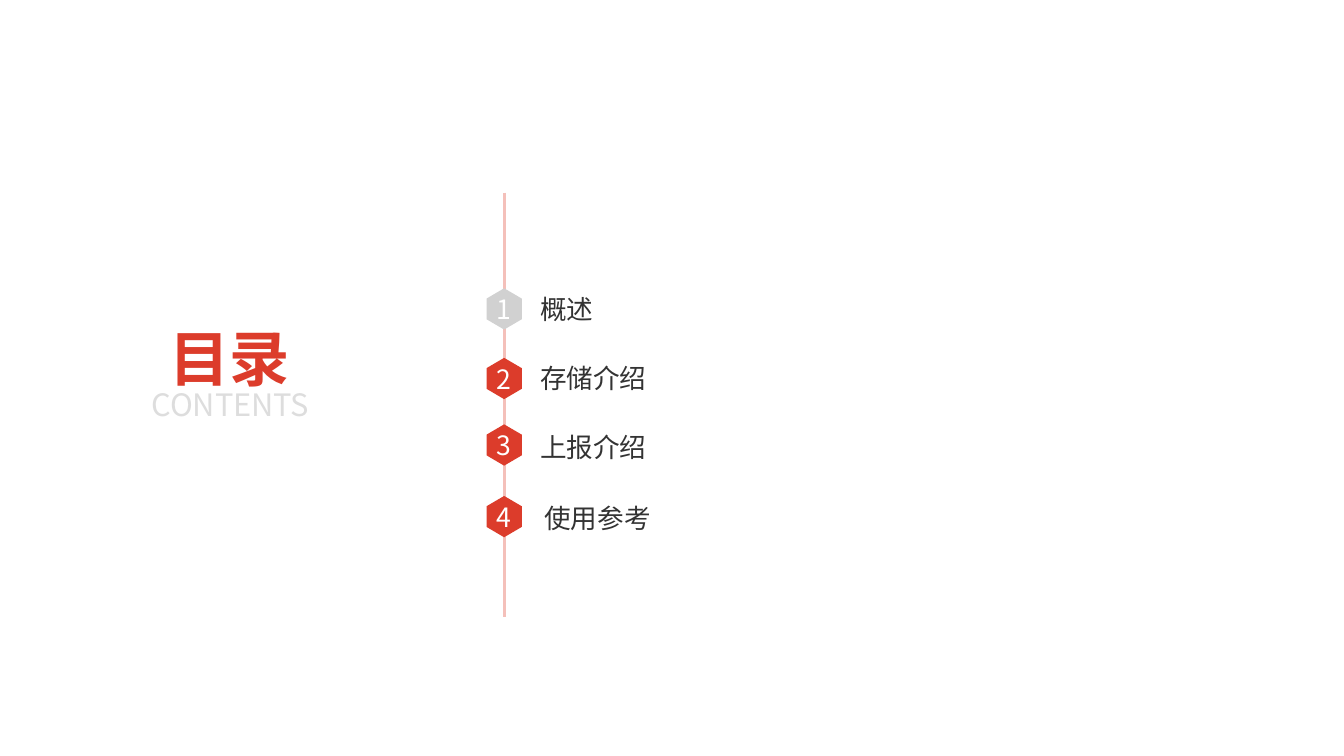
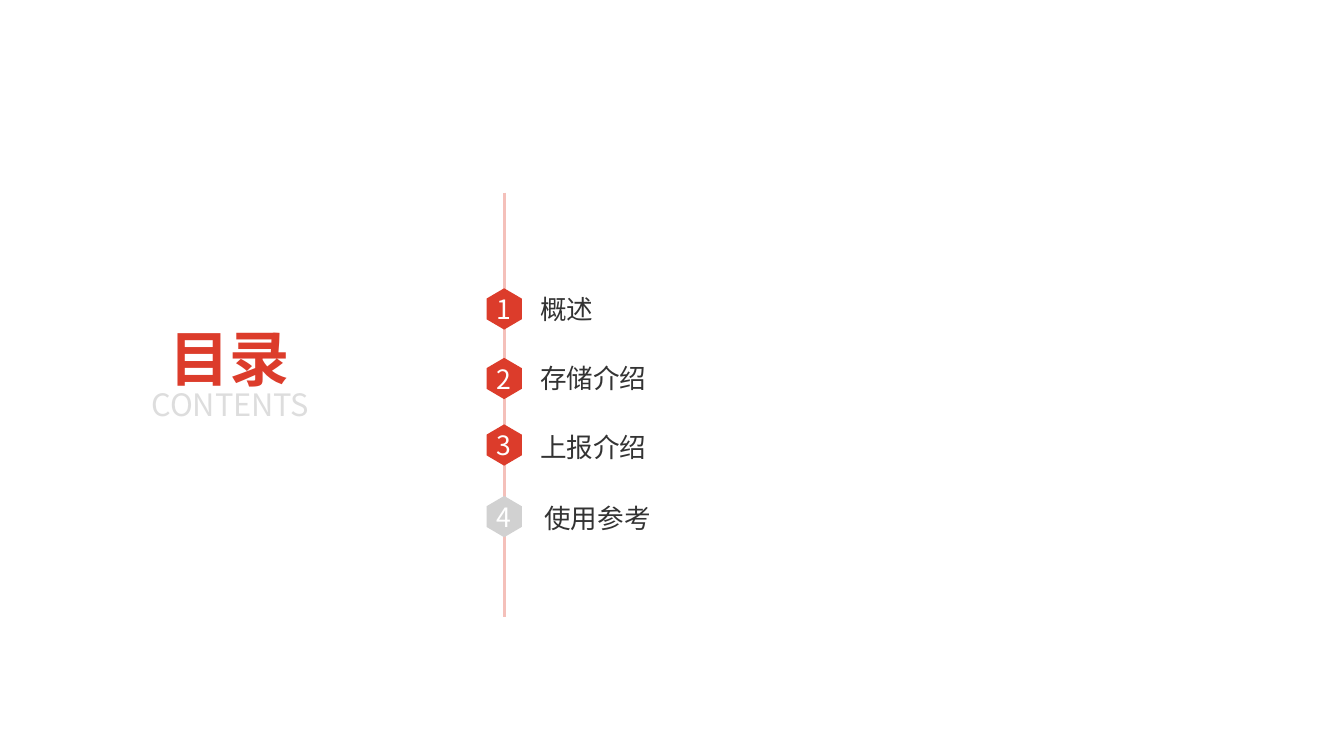
from dataclasses import dataclass
from lxml.etree import SubElement
from pptx import Presentation
from pptx.dml.color import RGBColor
from pptx.enum.shapes import MSO_CONNECTOR
from pptx.enum.text import MSO_ANCHOR, MSO_AUTO_SIZE, PP_ALIGN
from pptx.oxml.ns import qn
from pptx.util import Inches, Pt


# Colours and type sizes
@dataclass(frozen=True)
class Theme:
    font: str = "Noto Sans CJK SC"
    red: str = "DC3C2B"
    pink: str = "F4C0BA"
    grey: str = "D1D1D1"
    pale: str = "DDDDDD"
    dark: str = "333333"
    white: str = "FFFFFF"
    title: int = 43
    sub: int = 22
    body: int = 19
    inset: float = 0.05


# Agenda: label, hexagon top, label left, label top
ITEMS = [
    ("概述", 2.86, 5.31, 2.83),
    ("存储介绍", 3.55, 5.31, 3.52),
    ("上报介绍", 4.21, 5.31, 4.2),
    ("使用参考", 4.92, 5.35, 4.91),
]
AXIS = 5.0
HEX_W, HEX_H = 0.35, 0.41


class Deck:
    def __init__(self, theme):
        self.theme = theme
        self.prs = Presentation()
        self.prs.slide_width = Inches(13.33)
        self.prs.slide_height = Inches(7.5)
        self.slide = None

    def page(self):
        self.slide = self.prs.slides.add_slide(self.prs.slide_layouts[6])

    # Fill a text frame with one run
    def label(self, frame, words, size, color, align, inset, bold=False):
        frame.margin_left = frame.margin_right = Inches(inset)
        frame.margin_top = frame.margin_bottom = Inches(inset)
        frame.vertical_anchor = MSO_ANCHOR.MIDDLE
        para = frame.paragraphs[0]
        para.alignment = align
        run = para.add_run()
        run.text = words
        font = run.font
        font.size, font.bold = Pt(size), bold
        font.color.rgb = RGBColor.from_string(color)
        font.name = self.theme.font
        # East Asian glyphs need their own typeface entry
        SubElement(run._r.get_or_add_rPr(), qn("a:ea"), typeface=self.theme.font)

    def text(self, words, x, y, w, h, size, color, align=PP_ALIGN.LEFT, bold=False):
        box = self.slide.shapes.add_textbox(Inches(x), Inches(y), Inches(w), Inches(h))
        frame = box.text_frame
        frame.word_wrap = True
        frame.auto_size = MSO_AUTO_SIZE.SHAPE_TO_FIT_TEXT
        self.label(frame, words, size, color, align, self.theme.inset, bold)

    def line(self, x, top, end, color, width):
        line = self.slide.shapes.add_connector(
            MSO_CONNECTOR.STRAIGHT, Inches(x), Inches(top), Inches(x), Inches(end))
        line.line.color.rgb = RGBColor.from_string(color)
        line.line.width = Pt(width)
        SubElement(line._element.spPr, qn("a:effectLst"))

    # Upright hexagon with a number in it
    def badge(self, num, mid, top, color):
        left, right = mid - HEX_W / 2, mid + HEX_W / 2
        high, low = top + HEX_H / 4, top + HEX_H * 3 / 4
        dots = [(right, high), (right, low), (mid, top + HEX_H), (left, low), (left, high)]
        pen = self.slide.shapes.build_freeform(Inches(mid), Inches(top))
        pen.add_line_segments([(Inches(x), Inches(y)) for x, y in dots], close=True)
        shape = pen.convert_to_shape()
        shape.shadow.inherit = False
        shape.fill.solid()
        shape.fill.fore_color.rgb = RGBColor.from_string(color)
        shape.line.fill.background()
        self.label(shape.text_frame, str(num), self.theme.body, self.theme.white,
                   PP_ALIGN.CENTER, 0)

    # Contents page with one greyed badge
    def agenda(self, muted):
        look = self.theme
        self.page()
        self.line(AXIS, 1.91, 6.12, look.pink, 2)
        self.text("目录", 1.62, 3.07, 1.31, 0.95, look.title, look.red,
                  PP_ALIGN.CENTER, bold=True)
        self.text("CONTENTS", 1.25, 3.78, 2.07, 0.46, look.sub, look.pale,
                  PP_ALIGN.CENTER)
        for num, (words, top, x, y) in enumerate(ITEMS, 1):
            self.badge(num, AXIS, top, look.grey if num == muted else look.red)
            self.text(words, x, y, 4.04, 0.46, look.body, look.dark)


def main():
    deck = Deck(Theme())
    for muted in (1, 4):
        deck.agenda(muted)
    deck.prs.save("out.pptx")


if __name__ == "__main__":
    main()
